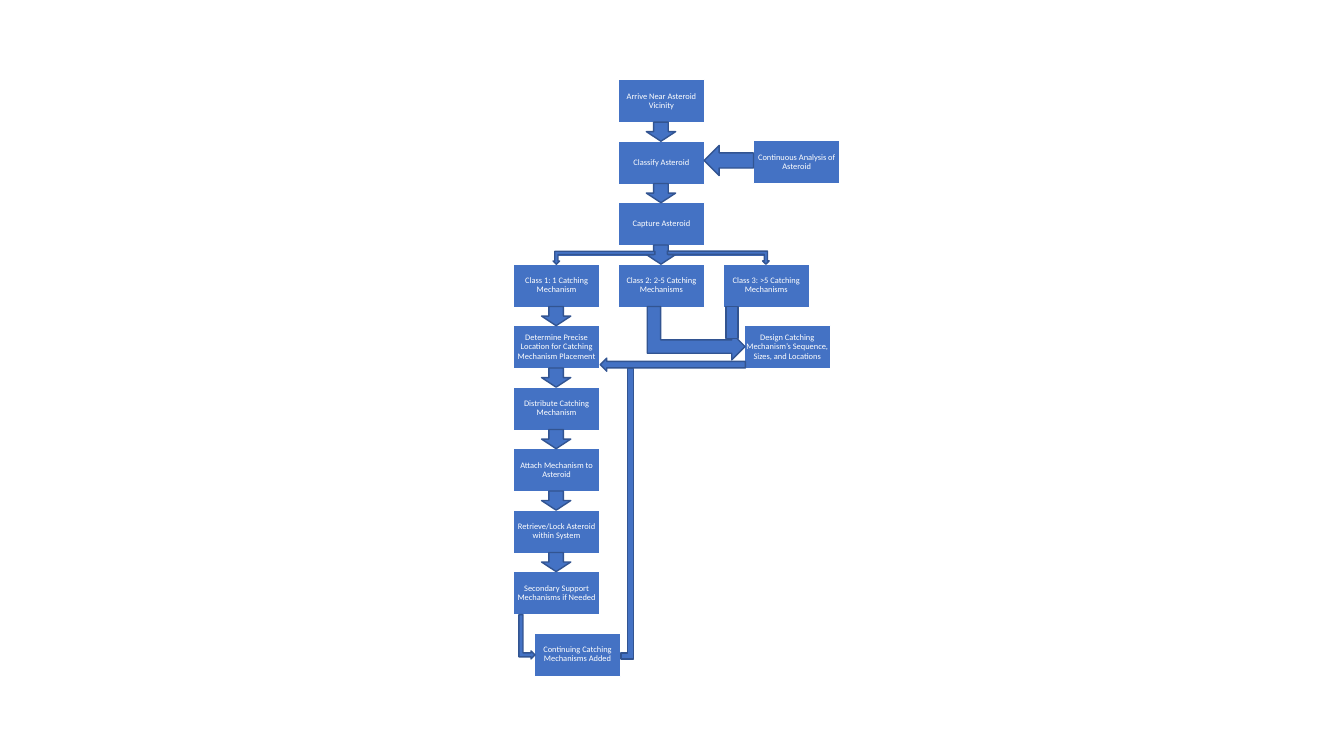
"""Build the asteroid capture flowchart slide."""
from dataclasses import dataclass

import pptx
import pptx.dml.color
import pptx.enum.shapes
import pptx.enum.text
import pptx.oxml
import pptx.oxml.ns
import pptx.util

SHAPE = pptx.enum.shapes.MSO_SHAPE


@dataclass(frozen=True)
class Theme:
    fill: str = "4472C4"
    text: str = "FFFFFF"
    box_line: str = "FFFFFF"
    arrow_line: str = "325491"
    stem_line: str = "3E67B2"
    font: str = "Calibri"
    text_size: float = 6
    line_width: float = 1


@dataclass(frozen=True)
class Grid:
    left: float = 5.09
    top: float = 0.79
    column: float = 1.04
    row: float = 0.61
    box_width: float = 0.86
    box_height: float = 0.43

    def x(self, column: float) -> float:
        return self.left + column * self.column

    def y(self, row: float) -> float:
        return self.top + row * self.row


@dataclass(frozen=True)
class Step:
    text: str
    column: float
    row: float


@dataclass(frozen=True)
class Arrow:
    kind: SHAPE
    column: float
    row: float
    width: float
    height: float
    rotation: float = 0
    flipped: bool = False


THEME = Theme()
GRID = Grid()

MAIN_STEPS = [
    Step("Arrive Near Asteroid Vicinity", 1, 0),
    Step("Classify Asteroid", 1, 1),
    Step("Capture Asteroid", 1, 2),
    Step("Class 2: 2-5 Catching Mechanisms", 1, 3),
]
CLASS_ONE_STEPS = [
    Step("Class 1: 1 Catching Mechanism", 0, 3),
    Step("Determine Precise Location for Catching Mechanism Placement", 0, 4),
    Step("Distribute Catching Mechanism", 0, 5),
    Step("Attach Mechanism to Asteroid", 0, 6),
    Step("Retrieve/Lock Asteroid within System", 0, 7),
    Step("Secondary Support Mechanisms if Needed", 0, 8),
]
SIDE_STEPS = [
    Step("Continuing Catching Mechanisms Added", 0.2, 9),
    Step("Class 3: >5 Catching Mechanisms", 2, 3),
    Step("Design Catching Mechanism’s Sequence, Sizes, and Locations", 2.2, 4),
    Step("Continuous Analysis of Asteroid", 2.29, 0.99),
]
BENDS = [
    [(1.41, 2.7), (1.41, 2.85), (2.41, 2.85), (2.41, 3)],
    [(1.41, 2.7), (1.41, 2.85), (0.41, 2.85), (0.41, 3)],
    [(2.09, 3.7), (2.09, 4.35), (2.2, 4.35)],
    [(0.08, 8.7), (0.08, 9.36), (0.2, 9.36)],
]
SIDE_ARROWS = [
    Arrow(SHAPE.LEFT_ARROW, 1.82, 1.07, 0.49, 0.3),
    Arrow(SHAPE.BENT_UP_ARROW, 1.47, 2.79, 1.01, 0.13, flipped=True),
    Arrow(SHAPE.BENT_UP_ARROW, 0.38, 2.79, 1.01, 0.13, 180),
    Arrow(SHAPE.BENT_UP_ARROW, -0.08, 8.93, 0.44, 0.16, 90),
    Arrow(SHAPE.CORNER, 1.03, 4.7, 0.12, 2.88, 180, True),
    Arrow(SHAPE.LEFT_ARROW, 0.83, 4.53, 1.44, 0.13),
    Arrow(SHAPE.BENT_UP_ARROW, 1.49, 3.33, 0.53, 0.97, 90),
    Arrow(SHAPE.RECTANGLE, 2.03, 3.69, 0.12, 0.32),
]


def rgb(value: str) -> pptx.dml.color.RGBColor:
    return pptx.dml.color.RGBColor.from_string(value)


def set_line(line, color: str) -> None:
    line.color.rgb = rgb(color)
    line.width = pptx.util.Pt(THEME.line_width)


def add_filled(page, kind: SHAPE, column: float, row: float,
               width: float, height: float, line: str):
    places = (GRID.x(column), GRID.y(row), width, height)
    shape = page.shapes.add_shape(kind, *map(pptx.util.Inches, places))
    shape.shadow.inherit = False
    shape.fill.solid()
    shape.fill.fore_color.rgb = rgb(THEME.fill)
    set_line(shape.line, line)
    return shape


def add_step(page, step: Step):
    box = add_filled(page, SHAPE.RECTANGLE, step.column, step.row,
                     GRID.box_width, GRID.box_height, THEME.box_line)
    frame = box.text_frame
    frame.word_wrap = True
    frame.vertical_anchor = pptx.enum.text.MSO_ANCHOR.MIDDLE
    frame.margin_left = frame.margin_right = 0
    frame.margin_top = frame.margin_bottom = 0
    para = frame.paragraphs[0]
    para.text = step.text
    para.alignment = pptx.enum.text.PP_ALIGN.CENTER
    para.line_spacing = 0.9
    para.font.name = THEME.font
    para.font.size = pptx.util.Pt(THEME.text_size)
    para.font.color.rgb = rgb(THEME.text)
    return box


def add_stem(page, upper, lower) -> None:
    stem = page.shapes.add_connector(
        pptx.enum.shapes.MSO_CONNECTOR.STRAIGHT, 0, 0, 0, 0)
    stem.begin_connect(upper, 2)
    stem.end_connect(lower, 0)
    set_line(stem.line, THEME.stem_line)
    stem.element.spPr.append(pptx.oxml.parse_xml(
        f"<a:effectLst {pptx.oxml.ns.nsdecls('a')}/>"))


def add_bend(page, points: list[tuple[float, float]]) -> None:
    spots = [(pptx.util.Inches(GRID.x(column)), pptx.util.Inches(GRID.y(row)))
             for column, row in points]
    builder = page.shapes.build_freeform(*spots[0])
    builder.add_line_segments(spots[1:], close=False)
    bend = builder.convert_to_shape()
    bend.shadow.inherit = False
    bend.fill.background()
    set_line(bend.line, THEME.stem_line)


def add_arrow(page, arrow: Arrow) -> None:
    shape = add_filled(page, arrow.kind, arrow.column, arrow.row,
                       arrow.width, arrow.height, THEME.arrow_line)
    shape.rotation = arrow.rotation
    if arrow.flipped:
        shape.element.spPr.find(pptx.oxml.ns.qn("a:xfrm")).set("flipV", "1")


def add_chain(page, steps: list[Step]) -> None:
    boxes = [add_step(page, step) for step in steps]
    for upper, lower in zip(boxes, boxes[1:]):
        add_stem(page, upper, lower)
    for step in steps[:-1]:
        add_arrow(page, Arrow(SHAPE.DOWN_ARROW, step.column + 0.27,
                              step.row + 0.69, 0.29, 0.19))


def main() -> None:
    deck = pptx.Presentation()
    deck.slide_width = pptx.util.Inches(13.33)
    deck.slide_height = pptx.util.Inches(7.5)
    page = deck.slides.add_slide(deck.slide_layouts[6])
    for points in BENDS:
        add_bend(page, points)
    for chain in (MAIN_STEPS, CLASS_ONE_STEPS):
        add_chain(page, chain)
    for step in SIDE_STEPS:
        add_step(page, step)
    for arrow in SIDE_ARROWS:
        add_arrow(page, arrow)
    deck.save("out.pptx")


if __name__ == "__main__":
    main()
